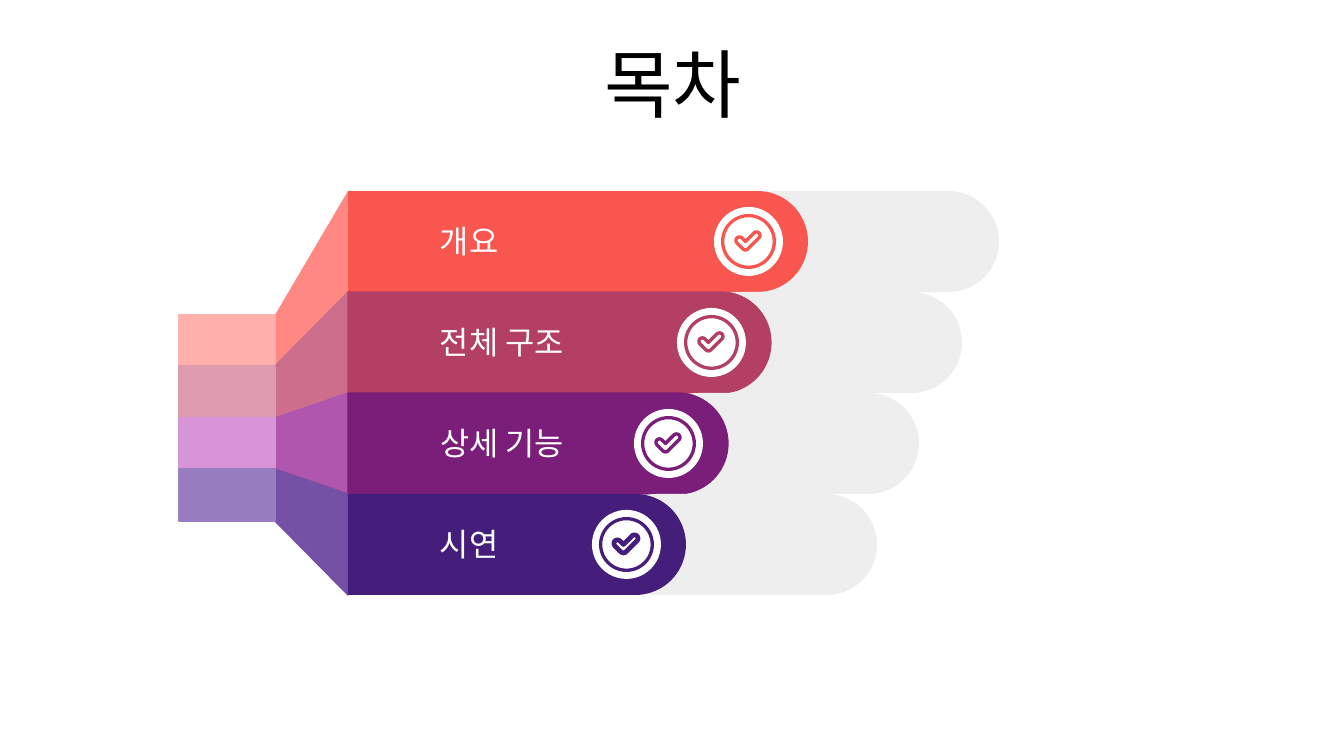
from dataclasses import dataclass
from math import cos, radians, sin, sqrt

from pptx import Presentation
from pptx.dml.color import RGBColor
from pptx.enum.shapes import MSO_SHAPE
from pptx.enum.text import MSO_ANCHOR, PP_ALIGN
from pptx.util import Emu, Pt

PX = 914400 / 134.4


@dataclass(frozen=True)
class Theme:
    font: str = "Arial"
    title_size: int = 40
    label_size: int = 17
    ink: str = "000000"
    white: str = "FFFFFF"
    track: str = "EEEEEE"
    edge: float = 0.75
    inset: int = 13


@dataclass(frozen=True)
class Row:
    label: str
    label_width: int
    right: int
    bar: str
    fan: str
    feed: str
    bar_edge: bool = False
    fan_edge: bool = True
    check_width: float = 1.8


ROWS = [
    Row("개요", 263, 808, "F9564F", "FF8883", "FFB0AD", fan_edge=False),
    Row("전체 구조", 263, 771, "B33F62", "CD6F8C", "DE9AAE", bar_edge=True),
    Row("상세 기능", 181, 728, "7B1E7A", "B056AF", "D794D6", bar_edge=True),
    Row("시연", 116, 686, "451E7B", "7451A4", "997DC1", check_width=2.55),
]

FEED_LEFT, FAN_LEFT, BAR_LEFT = 179, 275, 348
FEED_TOP, FEED_SPAN = 315, 206
BAR_TOP, BAR_HEIGHT = 191, 101
TRACK_OVERLAP, TRACK_WIDTH = 80, 271
DISC, RING = 69, 55
DISC_FROM_RIGHT = 94


def px(n):
    return Emu(round(n * PX))


def arc(cx, cy, radius, start, end, step=5):
    """Points from start to end degrees, clockwise from the right."""
    return [(cx + radius * cos(radians(a)), cy + radius * sin(radians(a)))
            for a in range(start, end + 1, step)]


def check_outline(cx, cy):
    """Rounded tick whose two arms both run at 45 degrees."""
    radius = 3.5
    corner = (cx - 3, cy + 5)
    return [
        *arc(cx - 9, cy - 1, radius, 135, 315, 15),
        (corner[0], corner[1] - radius * sqrt(2)),
        *arc(cx + 8, cy - 6, radius, 225, 405, 15),
        *arc(*corner, radius, 45, 135, 15),
    ]


class Deck:
    def __init__(self, prs, theme):
        self.theme = theme
        self.s = prs.slides.add_slide(prs.slide_layouts[6])

    def paint(self, sp, fill=None, line=None, width=None):
        sp.shadow.inherit = False
        for part, colour in ((sp.fill, fill), (sp.line.fill, line)):
            if colour:
                part.solid()
                part.fore_color.rgb = RGBColor.from_string(colour)
            else:
                part.background()
        if line:
            sp.line.width = Pt(width or self.theme.edge)

    def preset(self, kind, x, y, w, h, fill, adj=None):
        sp = self.s.shapes.add_shape(kind, px(x), px(y), px(w), px(h))
        if adj is not None:
            sp.adjustments[0] = adj
        self.paint(sp, fill)

    def outline(self, points, fill=None, line=None, width=None):
        start, *rest = [(px(x), px(y)) for x, y in points]
        builder = self.s.shapes.build_freeform(*start)
        builder.add_line_segments(rest, close=True)
        self.paint(builder.convert_to_shape(), fill, line, width)

    def text(self, words, x, y, w, h, size, colour, align=PP_ALIGN.LEFT):
        tf = self.s.shapes.add_textbox(px(x), px(y), px(w), px(h)).text_frame
        inset = px(self.theme.inset)
        frame = {"word_wrap": True, "vertical_anchor": MSO_ANCHOR.MIDDLE,
                 "margin_left": inset, "margin_right": inset,
                 "margin_top": inset, "margin_bottom": inset}
        for name, value in frame.items():
            setattr(tf, name, value)
        p = tf.paragraphs[0]
        p.alignment = align
        r = p.add_run()
        r.text = words
        for name, value in {"name": self.theme.font, "size": Pt(size)}.items():
            setattr(r.font, name, value)
        r.font.color.rgb = RGBColor.from_string(colour)

    def row(self, i, row):
        t = self.theme
        top = BAR_TOP + i * BAR_HEIGHT
        bottom = top + BAR_HEIGHT
        middle = (top + bottom) / 2
        radius = BAR_HEIGHT / 2
        feed_top, feed_bottom = (FEED_TOP + FEED_SPAN * n // len(ROWS)
                                 for n in (i, i + 1))

        self.preset(MSO_SHAPE.ROUNDED_RECTANGLE, row.right - TRACK_OVERLAP, top,
                    TRACK_WIDTH, BAR_HEIGHT, t.track, 0.5)
        self.outline([(BAR_LEFT, top), (FAN_LEFT, feed_top),
                      (FAN_LEFT, feed_bottom), (BAR_LEFT, bottom)],
                     row.fan, row.fan if row.fan_edge else None)
        self.outline([(BAR_LEFT, bottom), (BAR_LEFT, top),
                      *arc(row.right - radius, middle, radius, -90, 90)],
                     row.bar, row.bar if row.bar_edge else None)
        self.outline([(FEED_LEFT, feed_top), (FEED_LEFT, feed_bottom),
                      (FAN_LEFT, feed_bottom), (FAN_LEFT, feed_top)],
                     row.feed, row.feed)

        disc_left = row.right - DISC_FROM_RIGHT
        disc_top = top + (BAR_HEIGHT - DISC) // 2
        gap = (DISC - RING) // 2
        self.preset(MSO_SHAPE.OVAL, disc_left, disc_top, DISC, DISC, t.white)
        self.text(row.label, 427, top + 23, row.label_width, 54,
                  t.label_size, t.white)
        self.preset(MSO_SHAPE.DONUT, disc_left + gap, disc_top + gap,
                    RING, RING, row.bar, 0.06)
        self.outline(check_outline(disc_left + DISC / 2, middle),
                     line=row.bar, width=row.check_width)


def main():
    prs = Presentation()
    prs.slide_width, prs.slide_height = px(1344), px(756)
    theme = Theme()
    deck = Deck(prs, theme)
    deck.text("목차", 105, 47, 1136, 71, theme.title_size, theme.ink,
              PP_ALIGN.CENTER)
    for i, row in enumerate(ROWS):
        deck.row(i, row)
    prs.save("out.pptx")


if __name__ == "__main__":
    main()
